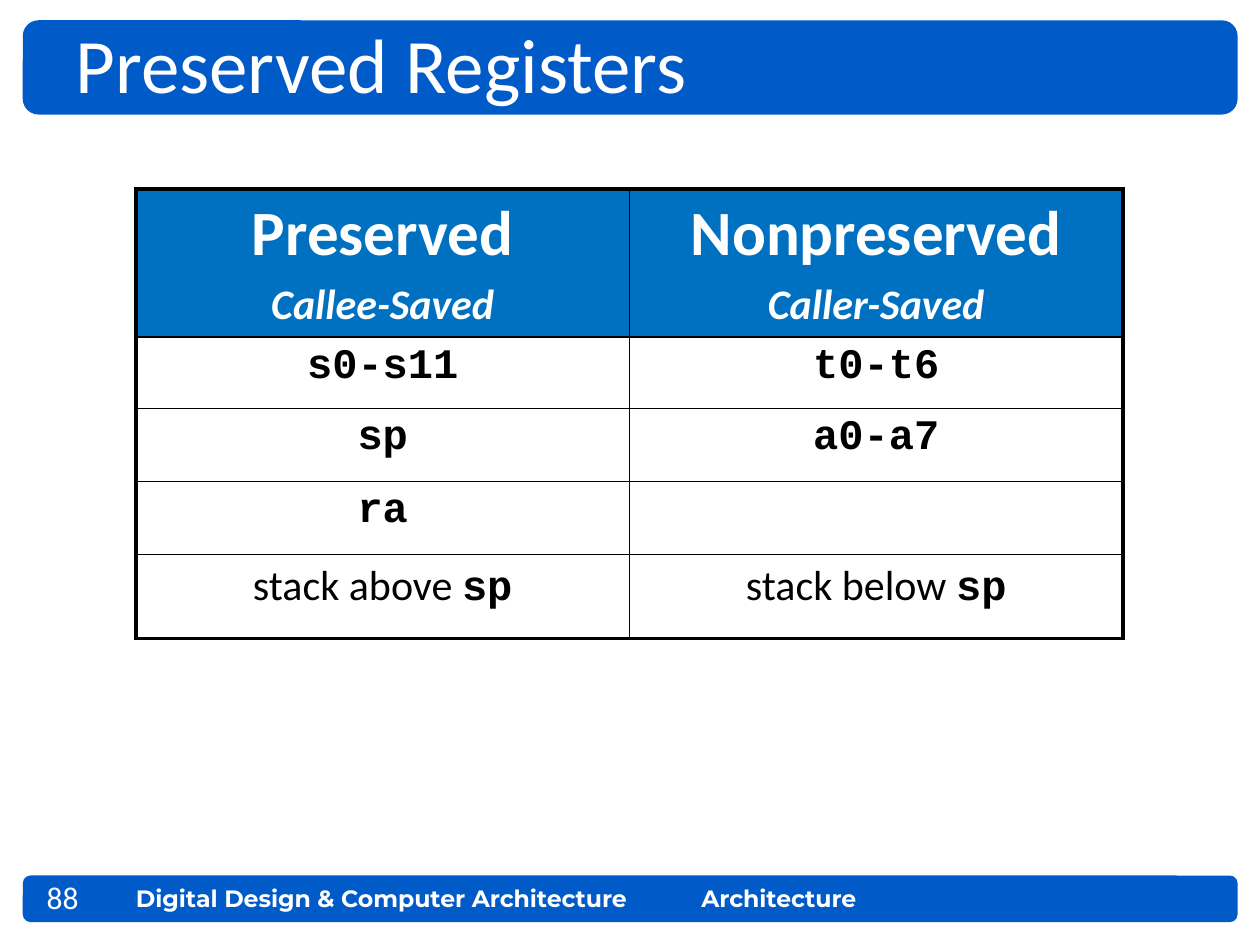
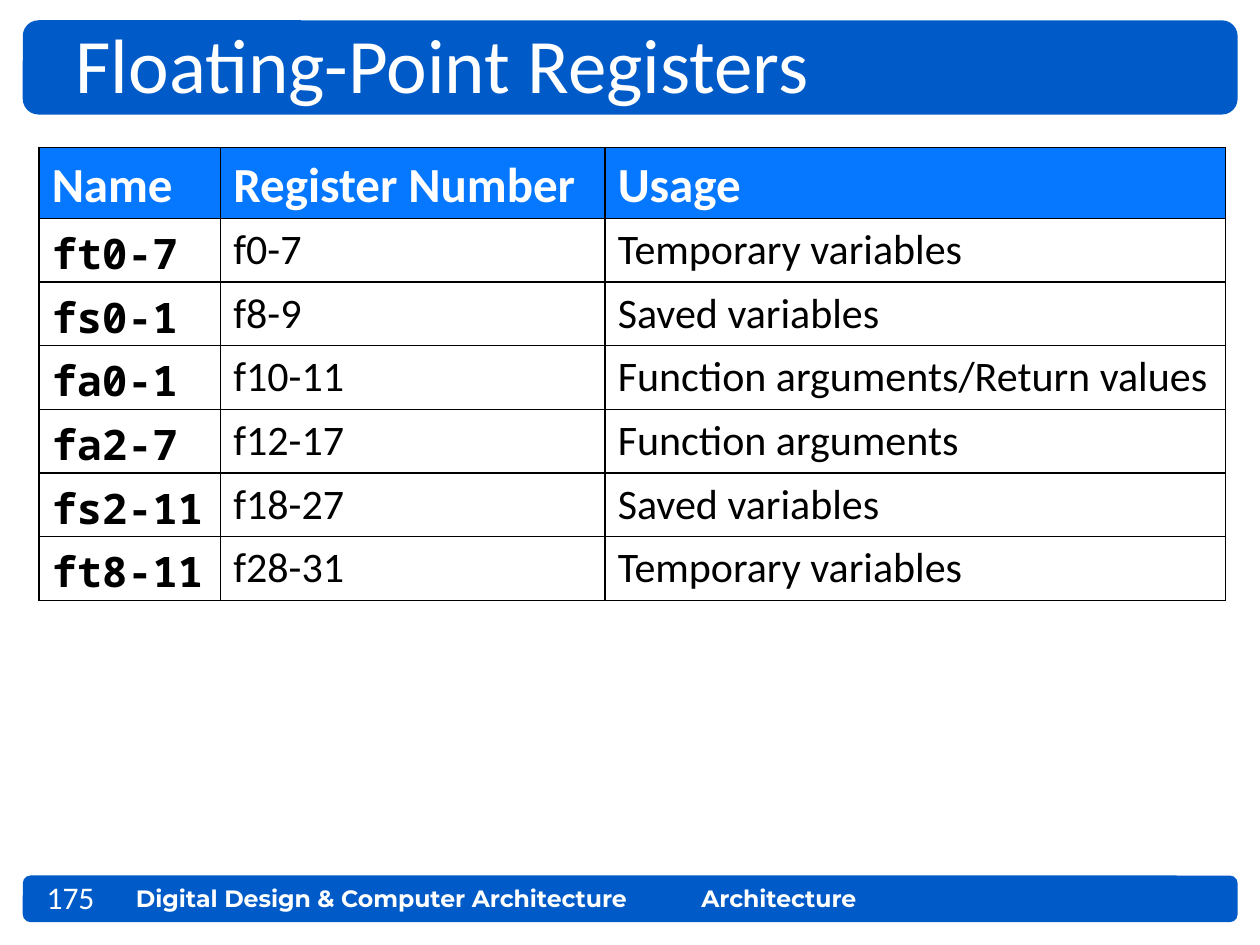
from dataclasses import dataclass

from lxml import etree
from pptx import Presentation
from pptx import util as u
from pptx.dml.color import RGBColor
from pptx.enum import shapes, text
from pptx.oxml import ns

BAND_BLUE = RGBColor(0x00, 0x5A, 0xC7)
SAVED_BLUE = RGBColor(0x00, 0x70, 0xC0)
FLOAT_BLUE = RGBColor(0x06, 0x77, 0xFF)
WHITE = RGBColor(0xFF, 0xFF, 0xFF)
BLACK = RGBColor(0x00, 0x00, 0x00)

SANS = "Calibri"
COURIER = "Courier New"
MONO = "Noto Sans Mono"
FOOTER_FONT = "Montserrat"


@dataclass(frozen=True)
class Box:
    left: float
    top: float
    width: float
    height: float

    def lengths(self) -> tuple:
        return tuple(u.Cm(n) for n in (self.left, self.top, self.width, self.height))


@dataclass(frozen=True)
class Style:
    size: float
    font: str = SANS
    color: RGBColor = BLACK
    bold: bool = False
    italic: bool = False


@dataclass(frozen=True)
class Piece:
    words: str
    style: Style


@dataclass(frozen=True)
class Label:
    words: str
    box: Box
    style: Style


@dataclass(frozen=True)
class RegisterTable:
    left: float
    top: float
    columns: list[float]
    row_heights: list[float]
    header_fill: RGBColor
    outer_line: float
    align: text.PP_ALIGN
    bottom_margin: float
    rows: list


TITLE_STYLE = Style(44, color=WHITE)
NUMBER_STYLE = Style(18, color=WHITE)
FOOTER_STYLE = Style(13.5, FOOTER_FONT, WHITE, bold=True)
BODY = Style(24)
CODE = Style(24, COURIER, bold=True)
FLOAT_CODE = Style(24, MONO, bold=True)
SAVED_HEAD = Style(36, color=WHITE, bold=True)
SAVED_SUBHEAD = Style(24, color=WHITE, bold=True, italic=True)
FLOAT_HEAD = Style(28, color=WHITE, bold=True)

INNER_LINE = 1
LINE_GAP = u.Pt(4)
TITLE_BOX = Box(1.27, 0.2, 23.06, 2.13)
NUMBER_BOX = Box(0.69, 17.58, 2.08, 0.99)
BANDS = [Box(0.46, 17.65, 24.49, 0.94), Box(0.46, 0.41, 24.49, 1.9)]
FOOTERS = [
    Label("Digital Design & Computer Architecture", Box(2.49, 17.7, 11.28, 0.84), FOOTER_STYLE),
    Label("Architecture", Box(13.89, 17.7, 7.47, 0.84), FOOTER_STYLE),
]


def format_run(run, style: Style) -> None:
    run.font.name = style.font
    run.font.size = u.Pt(style.size)
    run.font.bold = style.bold
    run.font.italic = style.italic
    run.font.color.rgb = style.color


def fill_single_line(frame, words: str, style: Style) -> None:
    frame.text = words
    frame.word_wrap = True
    frame.auto_size = text.MSO_AUTO_SIZE.NONE
    frame.vertical_anchor = text.MSO_ANCHOR.TOP
    line = frame.paragraphs[0]
    line.alignment = text.PP_ALIGN.LEFT
    format_run(line.runs[0], style)


def add_band(slide, box: Box) -> None:
    band = slide.shapes.add_shape(shapes.MSO_SHAPE.ROUNDED_RECTANGLE, *box.lengths())
    band.shadow.inherit = False
    band.fill.solid()
    band.fill.fore_color.rgb = BAND_BLUE
    band.line.fill.background()


def add_label(slide, label: Label) -> None:
    holder = slide.shapes.add_textbox(*label.box.lengths())
    fill_single_line(holder.text_frame, label.words, label.style)


def start_slide(deck, heading: str, number: str):
    slide = deck.slides.add_slide(deck.slide_layouts[5])
    for box in BANDS:
        add_band(slide, box)
    for label in FOOTERS + [Label(number, NUMBER_BOX, NUMBER_STYLE)]:
        add_label(slide, label)
    title = slide.shapes.title
    title.left, title.top, title.width, title.height = TITLE_BOX.lengths()
    fill_single_line(title.text_frame, heading, TITLE_STYLE)
    title.element.getparent().append(title.element)
    return slide


def set_borders(cell, widths: dict[str, float]) -> None:
    properties = cell._tc.get_or_add_tcPr()
    for side, width in widths.items():
        border = etree.SubElement(properties, ns.qn(f"a:ln{side}"), w=str(u.Pt(width)))
        paint = etree.SubElement(border, ns.qn("a:solidFill"))
        etree.SubElement(paint, ns.qn("a:srgbClr"), val=str(BLACK))


def write_cell(cell, lines: list[list[Piece]], align: text.PP_ALIGN) -> None:
    for index, pieces in enumerate(lines):
        frame = cell.text_frame
        paragraph = frame.add_paragraph() if index else frame.paragraphs[0]
        paragraph.alignment = align
        if index:
            paragraph.space_before = LINE_GAP
        for piece in pieces:
            run = paragraph.add_run()
            run.text = piece.words
            format_run(run, piece.style)


def add_register_table(slide, spec: RegisterTable) -> None:
    last_row, last_column = len(spec.rows) - 1, len(spec.columns) - 1
    box = Box(spec.left, spec.top, sum(spec.columns), sum(spec.row_heights))
    table = slide.shapes.add_table(last_row + 1, last_column + 1, *box.lengths()).table
    table.first_row = False
    table.horz_banding = False
    for column, width in zip(table.columns, spec.columns):
        column.width = u.Cm(width)
    for row, height in zip(table.rows, spec.row_heights):
        row.height = u.Cm(height)
    for r, row in enumerate(spec.rows):
        for c, lines in enumerate(row):
            cell = table.cell(r, c)
            on_edge = {"L": c == 0, "R": c == last_column, "T": r == 0, "B": r == last_row}
            set_borders(cell, {side: spec.outer_line if outer else INNER_LINE
                               for side, outer in on_edge.items()})
            cell.fill.solid()
            cell.fill.fore_color.rgb = WHITE if r else spec.header_fill
            cell.margin_bottom = u.Cm(spec.bottom_margin)
            cell.vertical_anchor = text.MSO_ANCHOR.TOP if r else text.MSO_ANCHOR.MIDDLE
            write_cell(cell, lines, spec.align)


def saved_heading(name: str, saver: str) -> list[list[Piece]]:
    return [[Piece(name, SAVED_HEAD)], [Piece(saver, SAVED_SUBHEAD)]]


def one_line(words: str, style: Style) -> list[list[Piece]]:
    return [[Piece(words, style)]] if words else []


def stack_cell(words: str) -> list[list[Piece]]:
    return [[Piece(words, BODY), Piece("sp", CODE)]]


PRESERVED_CODES = [("s0-s11", "t0-t6"), ("sp", "a0-a7"), ("ra", "")]
PRESERVED = RegisterTable(
    left=2.74, top=3.81, columns=[9.95, 9.95],
    row_heights=[2.97, 1.44, 1.47, 1.47, 1.7],
    header_fill=SAVED_BLUE, outer_line=2.25,
    align=text.PP_ALIGN.CENTER, bottom_margin=0.13,
    rows=[
        [saved_heading("Preserved", "Callee-Saved"),
         saved_heading("Nonpreserved", "Caller-Saved")],
        *[[one_line(code, CODE) for code in pair] for pair in PRESERVED_CODES],
        [stack_cell("stack above "), stack_cell("stack below ")],
    ],
)

FLOAT_REGISTERS = [
    ("ft0-7", "f0-7", "Temporary variables"),
    ("fs0-1", "f8-9", "Saved variables"),
    ("fa0-1", "f10-11", "Function arguments/Return values"),
    ("fa2-7", "f12-17", "Function arguments"),
    ("fs2-11", "f18-27", "Saved variables"),
    ("ft8-11", "f28-31", "Temporary variables"),
]
FLOATING_POINT = RegisterTable(
    left=0.79, top=2.97, columns=[3.66, 7.75, 12.5],
    row_heights=[1.43] + [1.27] * len(FLOAT_REGISTERS),
    header_fill=FLOAT_BLUE, outer_line=1,
    align=text.PP_ALIGN.LEFT, bottom_margin=0,
    rows=[
        [one_line(head, FLOAT_HEAD) for head in ("Name", "Register Number", "Usage")],
        *[[one_line(name, FLOAT_CODE), one_line(number, BODY), one_line(usage, BODY)]
          for name, number, usage in FLOAT_REGISTERS],
    ],
)


def main() -> None:
    deck = Presentation()
    deck.slide_width, deck.slide_height = u.Cm(25.4), u.Cm(19.05)
    for heading, number, registers in [
        ("Preserved Registers", "88", PRESERVED),
        ("Floating-Point Registers", "175", FLOATING_POINT),
    ]:
        add_register_table(start_slide(deck, heading, number), registers)
    deck.save("out.pptx")


if __name__ == "__main__":
    main()
